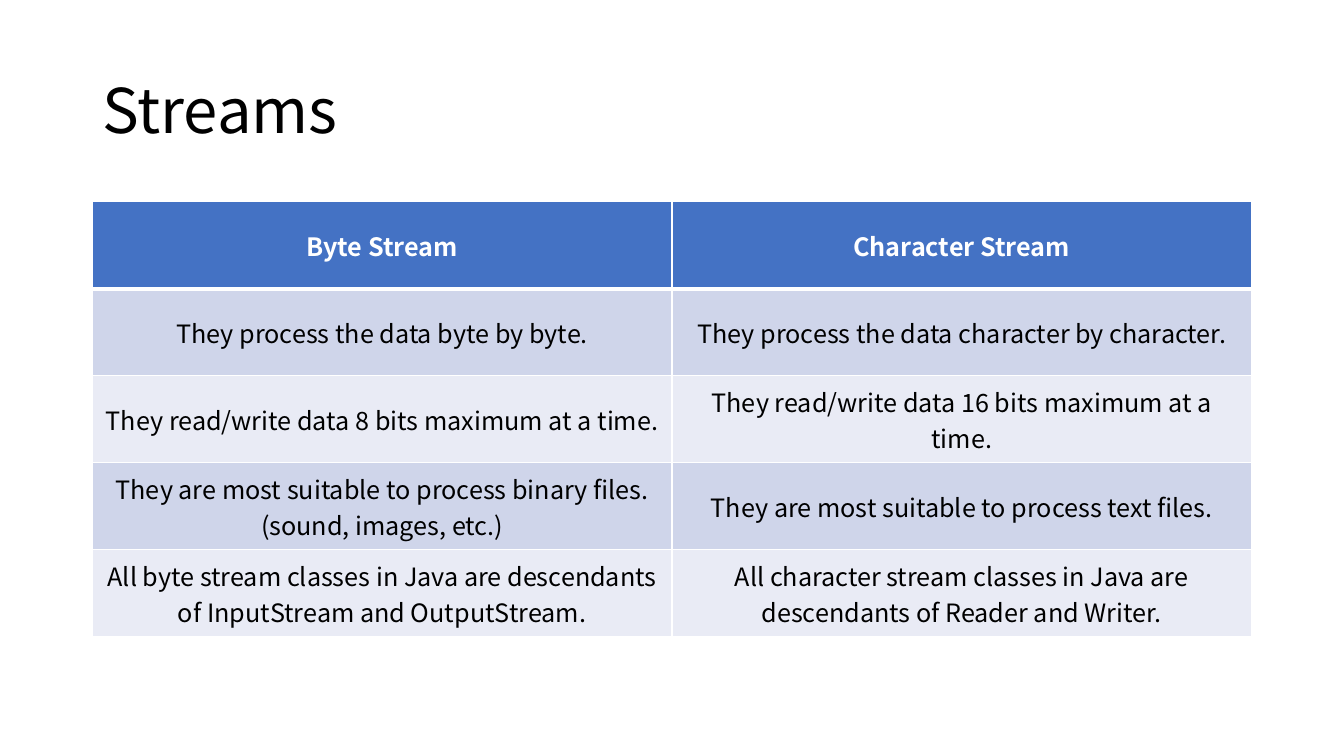
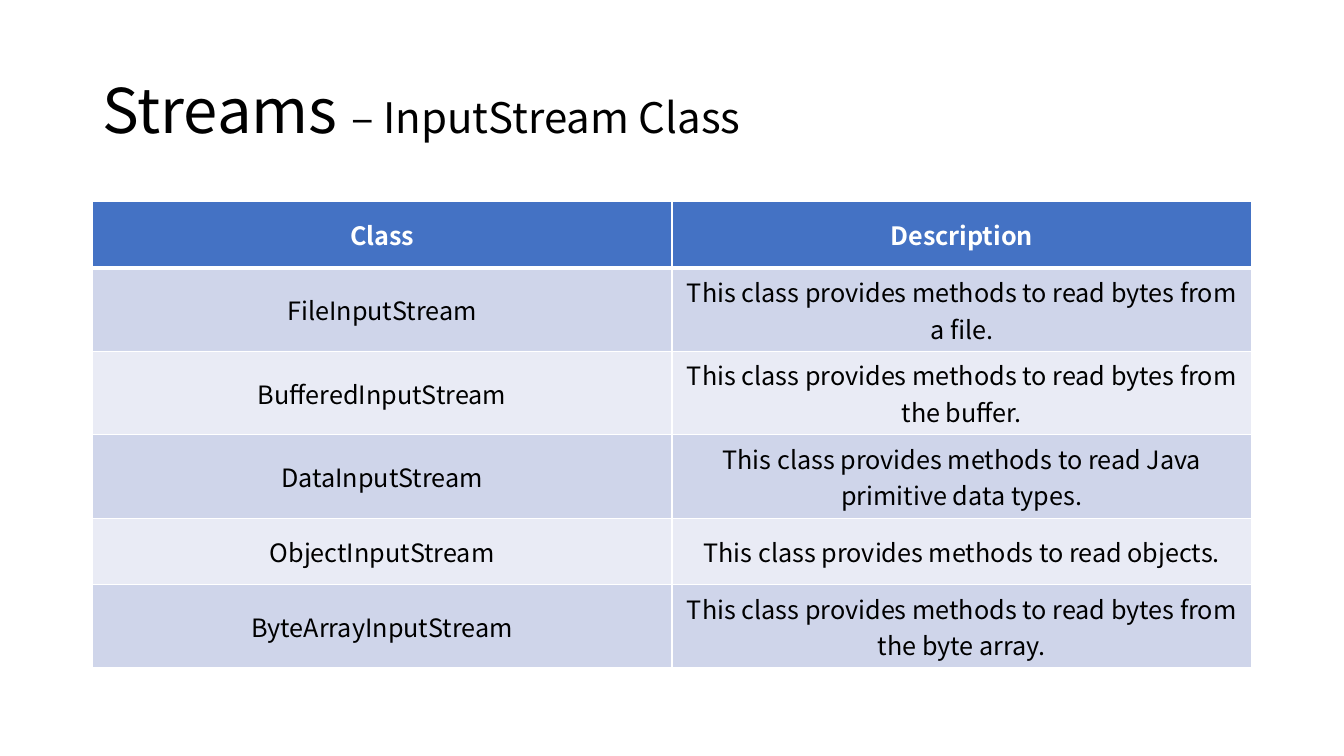
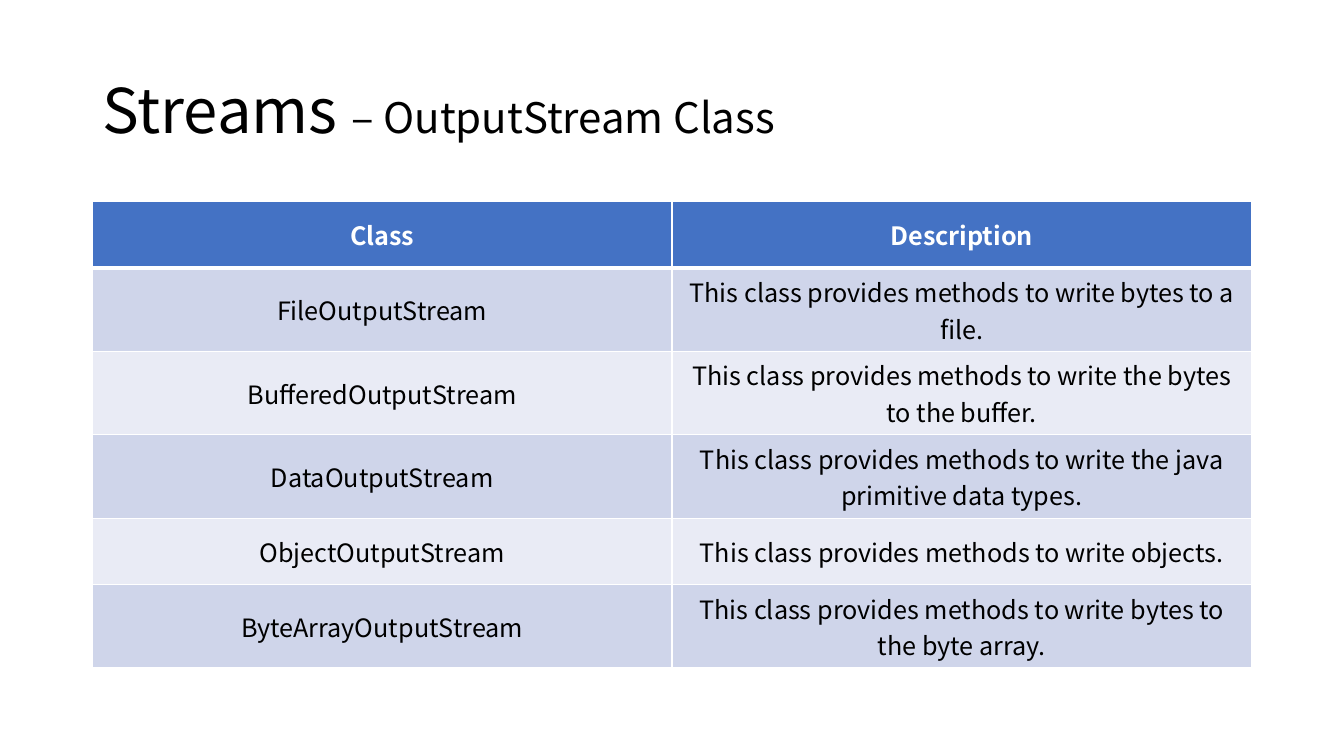
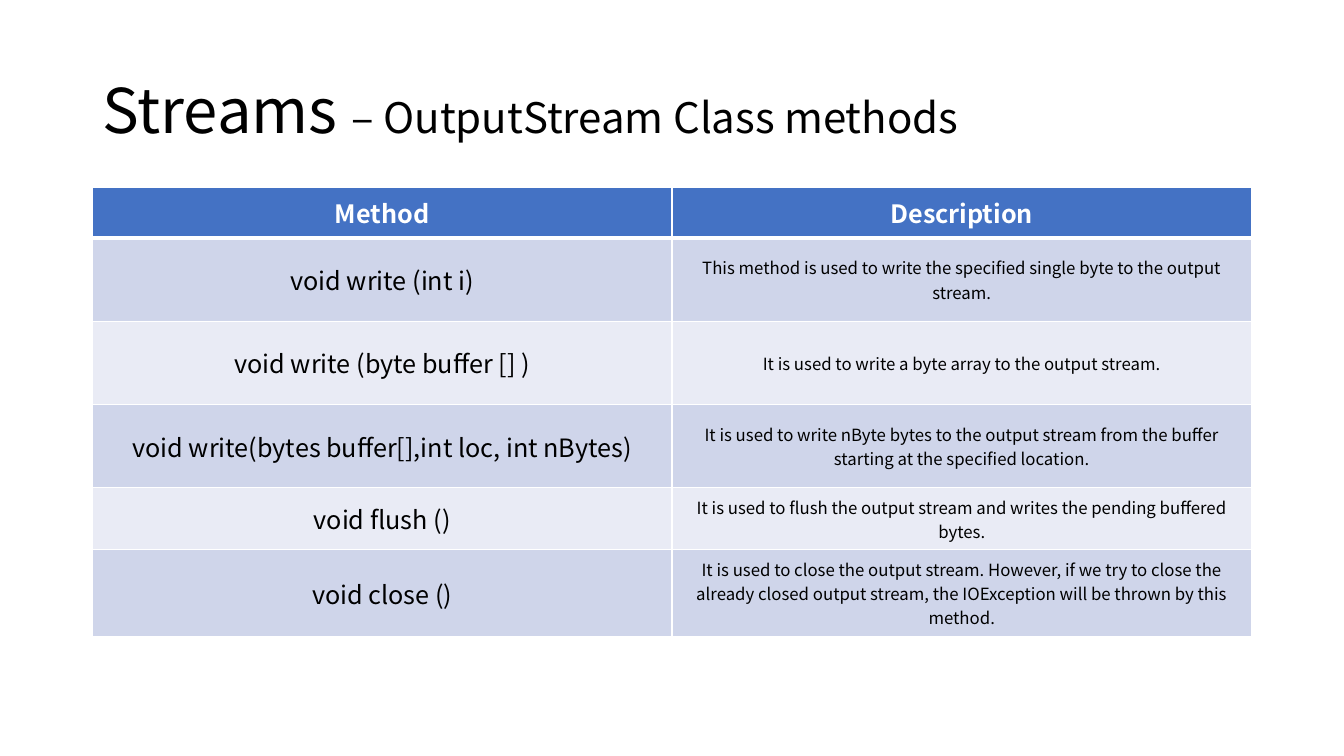
from pptx import Presentation
from pptx.dml.color import RGBColor
from pptx.enum import text
from pptx.oxml import parse_xml
from pptx.oxml.ns import nsdecls
from pptx.util import Pt

# Shared look
FONT = "Noto Sans CJK KR"
BLACK = RGBColor(0x00, 0x00, 0x00)
WHITE = RGBColor(0xFF, 0xFF, 0xFF)
BLUE = RGBColor(0x44, 0x72, 0xC4)
BANDS = [RGBColor(0xCF, 0xD5, 0xEA), RGBColor(0xE9, 0xEB, 0xF5)]

# Shared layout, in points
LEFT, WIDE = 66, 828
THIN, THICK = 1, 3
HEAD, TWO = 47.6, 59.5
LIST = [HEAD, TWO, TWO, TWO, HEAD, TWO]

# Content: table rows
KINDS = [
    ("Byte Stream", "Character Stream"),
    ("They process the data byte by byte.",
     "They process the data character by character."),
    ("They read/write data 8 bits maximum at a time.",
     "They read/write data 16 bits maximum at a time."),
    ("They are most suitable to process binary files.(sound, images, etc.)",
     "They are most suitable to process text files."),
    ("All byte stream classes in Java are descendants of InputStream and "
     "OutputStream.",
     "All character stream classes in Java are descendants of Reader and "
     "Writer."),
]
INPUTS = [
    ("Class", "Description"),
    ("FileInputStream",
     "This class provides methods to read bytes from a file."),
    ("BufferedInputStream",
     "This class provides methods to read bytes from the buffer."),
    ("DataInputStream",
     "This class provides methods to read Java primitive data types."),
    ("ObjectInputStream", "This class provides methods to read objects."),
    ("ByteArrayInputStream",
     "This class provides methods to read bytes from the byte array."),
]
OUTPUTS = [
    ("Class", "Description"),
    ("FileOutputStream",
     "This class provides methods to write bytes to a file."),
    ("BufferedOutputStream",
     "This class provides methods to write the bytes to the buffer."),
    ("DataOutputStream",
     "This class provides methods to write the java primitive data types."),
    ("ObjectOutputStream", "This class provides methods to write objects."),
    ("ByteArrayOutputStream",
     "This class provides methods to write bytes to the byte array."),
]
METHODS = [
    ("Method", "Description"),
    ("void write (int i)",
     "This method is used to write the specified single byte to the output "
     "stream."),
    ("void write (byte buffer [] )",
     "It is used to write a byte array to the output stream."),
    ("void write(bytes buffer[],int loc, int nBytes)",
     "It is used to write nByte bytes to the output stream from the buffer "
     "starting at the specified location."),
    ("void flush ()",
     "It is used to flush the output stream and writes the pending buffered "
     "bytes."),
    ("void close ()",
     "It is used to close the output stream. However, if we try to close the "
     "already closed output stream, the IOException will be thrown by this "
     "method."),
]


def add_run(para, words, size, color=BLACK, bold=False):
    run = para.add_run()
    run.text = words
    font = run.font
    font.name, font.size, font.bold = FONT, Pt(size), bold
    font.color.rgb = color


def add_title(slide, topic):
    box = slide.shapes.add_textbox(Pt(LEFT), Pt(28.75), Pt(WIDE), Pt(104.4))
    frame = box.text_frame
    frame.word_wrap = True
    frame.vertical_anchor = text.MSO_ANCHOR.MIDDLE
    para = frame.paragraphs[0]
    para.line_spacing = 0.9
    add_run(para, "Streams " if topic else "Streams", 44)
    if topic:
        add_run(para, topic, 30)


def set_edges(cell, top, bottom):
    """Draw white cell borders; they come before the fill in the XML."""
    edges = {"lnL": THIN, "lnR": THIN, "lnT": top, "lnB": bottom}
    for spot, (tag, width) in enumerate(edges.items()):
        line = parse_xml(
            f'<a:{tag} {nsdecls("a")} w="{Pt(width)}"><a:solidFill>'
            f'<a:srgbClr val="{WHITE}"/></a:solidFill></a:{tag}>')
        cell._tc.get_or_add_tcPr().insert(spot, line)


def fill_cell(cell, words, row, size):
    head = row == 0
    cell.fill.solid()
    cell.fill.fore_color.rgb = BLUE if head else BANDS[(row - 1) % 2]
    cell.vertical_anchor = text.MSO_ANCHOR.MIDDLE
    para = cell.text_frame.paragraphs[0]
    para.alignment = text.PP_ALIGN.CENTER
    add_run(para, words, size, WHITE if head else BLACK, head)
    set_edges(cell, THICK if row == 1 else THIN, THICK if head else THIN)


def add_grid(slide, rows, top, heights, note):
    """Add a two-column table; note is the text size of the right column."""
    frame = slide.shapes.add_table(len(rows), 2, Pt(LEFT), Pt(top),
                                   Pt(WIDE), Pt(sum(heights)))
    table = frame.table
    table.first_row = table.horz_banding = False
    for row, (pair, height) in enumerate(zip(rows, heights)):
        table.rows[row].height = Pt(height)
        for col, words in enumerate(pair):
            size = note if row and col else 18
            fill_cell(table.cell(row, col), words, row, size)


def main():
    deck = Presentation()
    deck.slide_width, deck.slide_height = Pt(960), Pt(540)
    # Topic, rows, table top, row heights, right column text size
    pages = [
        ("", KINDS, 144, [62.2] * 5, 18),
        ("– InputStream Class", INPUTS, 144, LIST, 18),
        ("– OutputStream Class", OUTPUTS, 144, LIST, 18),
        ("– OutputStream Class methods", METHODS, 133.5,
         [36.5, TWO, TWO, TWO, 44.3, 62], 12),
    ]
    for topic, *grid in pages:
        slide = deck.slides.add_slide(deck.slide_layouts[6])
        add_title(slide, topic)
        add_grid(slide, *grid)
    deck.save("out.pptx")


if __name__ == "__main__":
    main()
